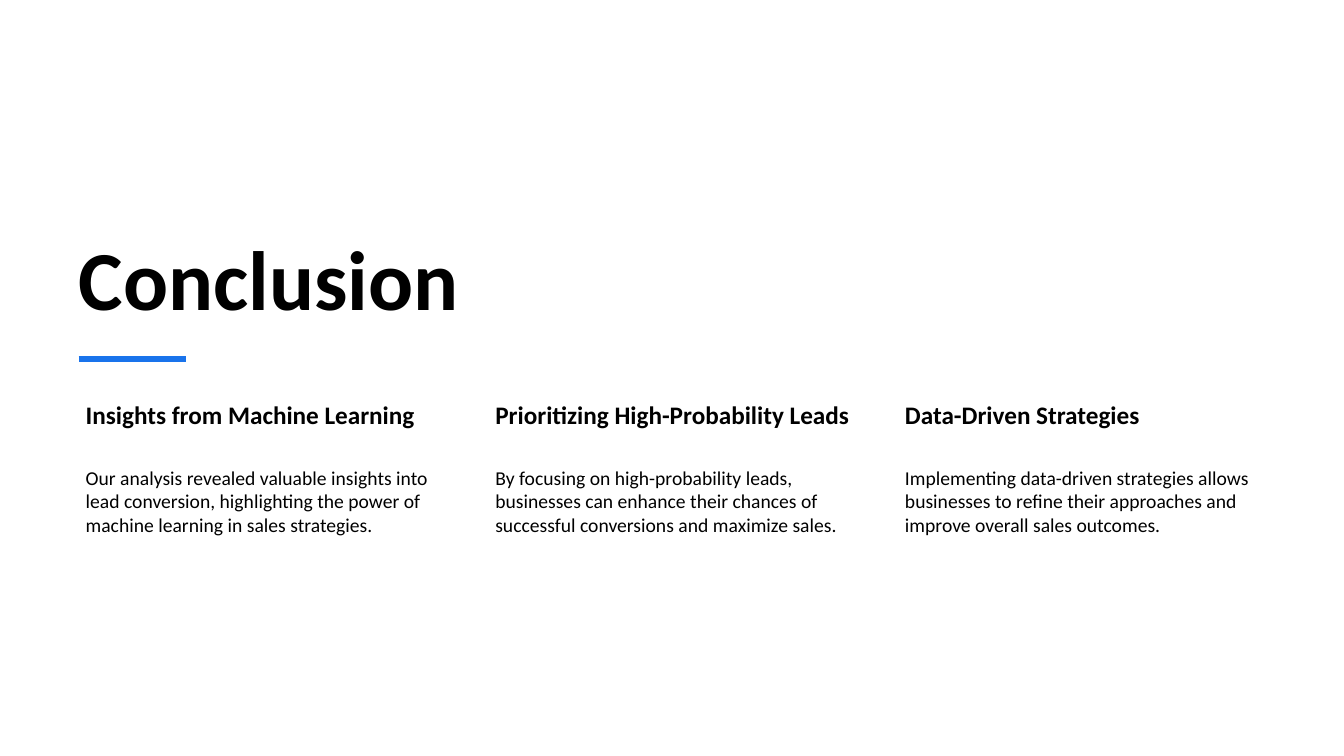
import pptx
import pptx.dml.color
import pptx.enum.shapes
import pptx.enum.text
import pptx.oxml
import pptx.util
from pptx.util import Pt

THEME = {
    "font": "Calibri",
    "ink": pptx.dml.color.RGBColor.from_string("000000"),
    "accent": pptx.dml.color.RGBColor.from_string("1973EB"),
    "title": 60,
    "heading": 18,
    "body": 14,
}

prs = pptx.Presentation()
prs.slide_width, prs.slide_height = Pt(960), Pt(540)
s = prs.slides.add_slide(prs.slide_layouts[6])


def add_text(text, left, top, width, height, size, bold=False, insets=(10.8, 2, 2, 2),
             anchor=pptx.enum.text.MSO_ANCHOR.TOP):
    tf = s.shapes.add_textbox(Pt(left), Pt(top), Pt(width), Pt(height)).text_frame
    tf.word_wrap = True
    tf.vertical_anchor = anchor
    tf.margin_left, tf.margin_top, tf.margin_right, tf.margin_bottom = map(Pt, insets)
    p = tf.paragraphs[0]
    r = p.add_run()
    r.text = text
    r.font.name = THEME["font"]
    r.font.size = Pt(THEME[size])
    r.font.bold = bold
    r.font.color.rgb = THEME["ink"]


add_text("Conclusion", 50.4, 123.8, 643, 110.9, "title", bold=True,
         insets=(6, 3.6, 6, 1), anchor=pptx.enum.text.MSO_ANCHOR.BOTTOM)

rule = s.shapes.add_connector(pptx.enum.shapes.MSO_CONNECTOR.STRAIGHT,
                              Pt(56.2), Pt(256.3), Pt(133.2), Pt(256.3))
rule.line.color.rgb = THEME["accent"]
rule.line.width = Pt(4.5)
rule._element.spPr.append(pptx.oxml.parse_xml(
    '<a:effectLst xmlns:a="http://schemas.openxmlformats.org/drawingml/2006/main"/>'))

takeaways = [
    ("Insights from Machine Learning",
     "Our analysis revealed valuable insights into lead conversion, "
     "highlighting the power of machine learning in sales strategies."),
    ("Prioritizing High-Probability Leads",
     "By focusing on high-probability leads, businesses can enhance "
     "their chances of successful conversions and maximize sales."),
    ("Data-Driven Strategies",
     "Implementing data-driven strategies allows businesses to refine "
     "their approaches and improve overall sales outcomes."),
]
column_width, column_step = 265.7, 292.6

for i, (heading, body) in enumerate(takeaways):
    left = 50.4 + i * column_step
    add_text(heading, left, 283, column_width, 47.5, "heading", bold=True)
    add_text(body, left, 330.5, column_width, 149, "body")

prs.save("out.pptx")
